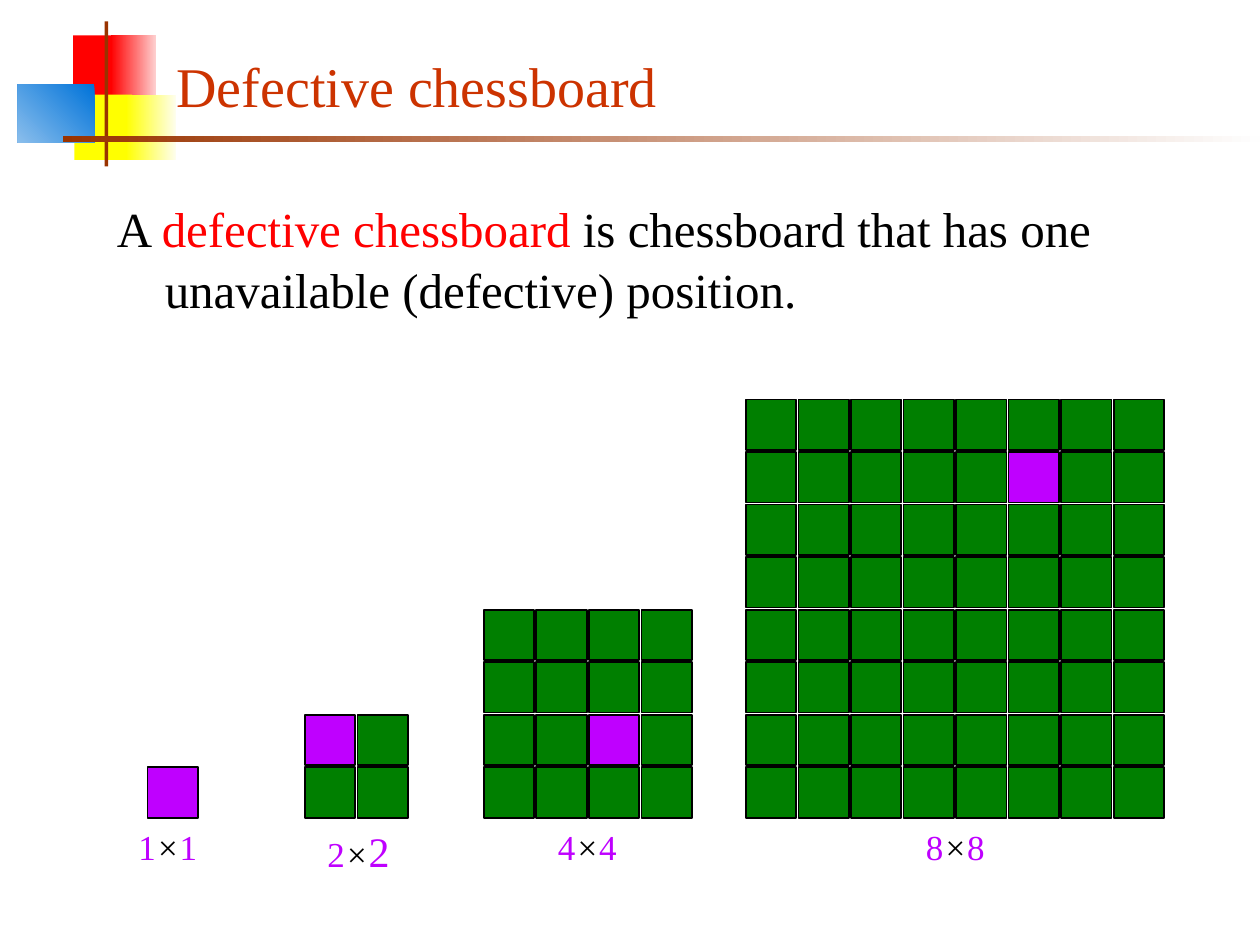
"""Build the slide that introduces defective chessboards of four sizes."""
from pptx import Presentation
from pptx.dml import color
from pptx.enum import shapes, text
from pptx.util import Inches, Pt

COLORS = {
    "red": "FF0000", "pale red": "FED0D0", "yellow": "FFFF00", "pale yellow": "FEFEEF",
    "blue": "0073D9", "pale blue": "8ABEEC", "brown": "993300", "off-white": "FEFEFE",
    "title": "CC3300", "black": "000000", "green": "007F00", "purple": "BF00FF",
}
FONT = "Times New Roman"
SQUARE, PITCH, BOTTOM_ROW = 0.4, 0.417, 6.09


def add_rectangle(parent, left, top, width, height, fill, end=None, angle=180):
    shape = parent.add_shape(shapes.MSO_SHAPE.RECTANGLE, Inches(left), Inches(top),
                             Inches(width), Inches(height))
    shape.shadow.inherit = False
    shape.line.fill.background()
    if end is None:
        shape.fill.solid()
        shape.fill.fore_color.rgb = color.RGBColor.from_string(COLORS[fill])
    else:
        shape.fill.gradient()
        shape.fill.gradient_angle = angle
        for stop, name in zip(shape.fill.gradient_stops, (fill, end)):
            stop.color.rgb = color.RGBColor.from_string(COLORS[name])
    return shape


def add_text(parent, left, top, width, height, runs, before=0, wrap=True):
    box = parent.add_textbox(Inches(left), Inches(top), Inches(width), Inches(height))
    box.text_frame.word_wrap = wrap
    paragraph = box.text_frame.paragraphs[0]
    paragraph.space_before = Pt(before)
    for content, size, name, italic in runs:
        run = paragraph.add_run()
        run.text = content
        run.font.name = FONT
        run.font.size = Pt(size)
        run.font.italic = italic
        run.font.color.rgb = color.RGBColor.from_string(COLORS[name])
    return paragraph


presentation = Presentation()
presentation.slide_width, presentation.slide_height = Inches(10), Inches(7.5)
slide = presentation.slides.add_slide(presentation.slide_layouts[6])

for decoration in [
    (0.58, 0.28, 0.35, 0.52, "red"),
    (0.88, 0.28, 0.36, 0.52, "pale red", "red"),
    (0.59, 0.75, 0.46, 0.52, "yellow"),
    (1, 0.75, 0.4, 0.52, "pale yellow", "yellow"),
    (0.14, 0.67, 0.61, 0.46, "blue", "pale blue", 225),
    (0.83, 0.17, 0.03, 1.15, "brown"),
    (0.5, 1.08, 9.5, 0.05, "off-white", "brown"),
]:
    add_rectangle(slide.shapes, *decoration)

definition = add_text(slide.shapes, 0.83, 1.5, 8.5, 1.33, [
    ("A ", 28, "black", False),
    ("defective chessboard", 28, "red", False),
    (" is chessboard that has one unavailable (defective) position.", 28, "black", False),
], before=7)
definition.line_spacing = 1.05
indent = definition._p.get_or_add_pPr()
indent.set("marL", str(Inches(0.38)))
indent.set("indent", str(Inches(-0.38)))

boards = [
    (1, 1.17, (0, 0), 1, 20, 0.43, 12.5),
    (2, 2.42, (0, 1), 2.5, 24, 0.5, 15),
    (4, 3.84, (2, 1), 4.33, 20, 0.43, 12.5),
    (8, 5.92, (5, 6), 7.25, 20, 0.43, 12.5),
]
for count, left, defect, label_left, last_size, label_height, before in boards:
    board = slide.shapes.add_group_shape()
    for row in range(count):
        for column in range(count):
            fill = "purple" if (column, row) == defect else "green"
            square = add_rectangle(board.shapes, left + column * PITCH,
                                   BOTTOM_ROW - row * PITCH, SQUARE, SQUARE, fill)
            square.line.color.rgb = color.RGBColor.from_string(COLORS["black"])
            square.line.width = Pt(1)
    add_text(board.shapes, label_left, 6.5, 0.83, label_height, [
        (str(count), 20, "purple", False),
        ("×", 20, "black", True),
        (str(count), last_size, "purple", False),
    ], before=before)

title = add_text(slide.shapes, 1.3, 0.36, 4.02, 0.64,
                 [("Defective chessboard", 32, "title", False)], wrap=False)
title.alignment = text.PP_ALIGN.CENTER

presentation.save("out.pptx")
